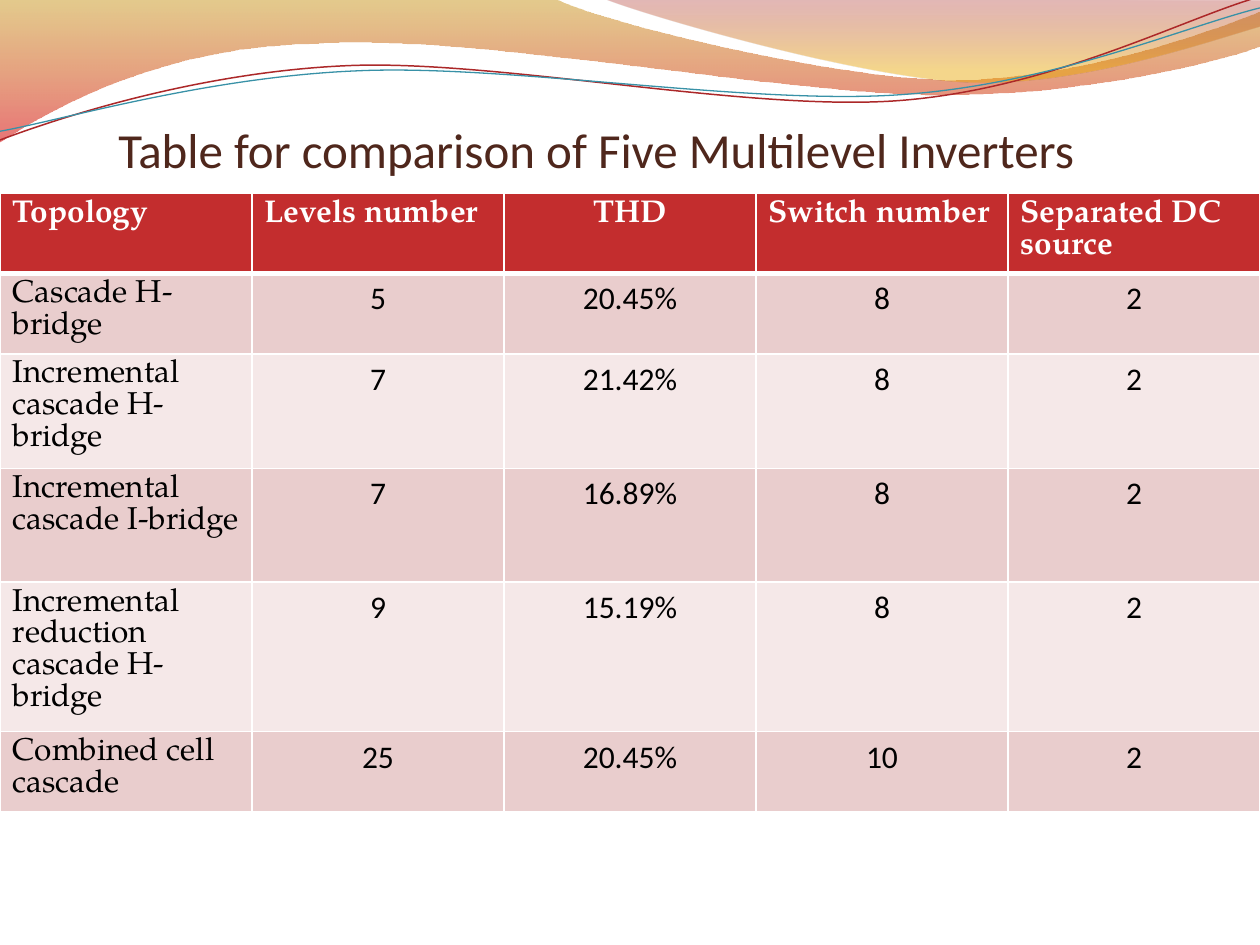
from lxml import etree
from pptx import Presentation
from pptx.dml.color import RGBColor
from pptx.enum import text
from pptx.oxml import ns
from pptx.util import Pt

SERIF, SANS = "TeX Gyre Pagella", "Calibri"


def color(value):
    return RGBColor.from_string(value)


def write(frame, words, font=SANS, size=18, ink="000000", bold=False,
          centered=False, leading=None):
    paragraph = frame.paragraphs[0]
    paragraph.alignment = text.PP_ALIGN.CENTER if centered else text.PP_ALIGN.LEFT
    paragraph.line_spacing = leading
    run = paragraph.add_run()
    run.text = words
    run.font.name, run.font.size, run.font.bold = font, Pt(size), bold
    run.font.color.rgb = color(ink)


deck = Presentation()
deck.slide_width, deck.slide_height = Pt(720), Pt(540)
slide = deck.slides.add_slide(deck.slide_layouts[6])

# Header waves: two numbers make a straight step, six a Bezier curve (in points).
# Gradient stops are position, colour, opacity in percent.
waves = [
    dict(start=(0, 0), steps=[
        (317, -1), (342.5, 12, 478, 45.5, 546, 45.5), (614, 45.5, 690, 18.5, 720, 6.5),
        (721, 26), (708, 31.5, 626.5, 54.5, 537, 54), (447.5, 54, 275, 20, 185, 24.5),
        (93, 26, 33, 60, -1, 81.5)],
        stops=[(0, "C38B00", 45), (100, "D60305", 55)]),
    dict(start=(345, -1), steps=[
        (366.5, 8, 491, 44.5, 553.5, 47), (616.5, 49.5, 692, 23, 720, 15), (720, 0)],
        stops=[(0, "A11112", 30), (80, "E9A600", 45)]),
    dict(start=(0, 80), steps=[
        (34.5, 67, 114, 41, 199.5, 37.5), (284.5, 34, 427, 64, 513.5, 57.5),
        (600, 51, 675.5, 11, 718.5, -1.5)],
        line=("AC2829", 0.85)),
    dict(start=(0, 75), steps=[
        (34, 69, 118, 44, 204, 40.5), (290, 36.5, 430, 60.5, 516, 54),
        (602, 48, 677.5, 15, 720, 4.5)],
        line=("3891A7", 0.75)),
]
for wave in waves:
    builder = slide.shapes.build_freeform(*(Pt(v) for v in wave["start"]))
    for step in wave["steps"]:
        lengths = [Pt(v) for v in step]
        builder.add_line_segments(zip(lengths[::2], lengths[1::2]), close=False)
    if "stops" in wave:
        builder.add_line_segments([], close=True)
    ribbon = builder.convert_to_shape()
    ribbon.shadow.inherit = False

    # Each curve's three straight segments become one Bezier segment.
    segments = iter(list(ribbon.element.spPr.iter(ns.qn("a:lnTo"))))
    for step in wave["steps"]:
        first, *others = [next(segments) for _ in range(len(step) // 2)]
        if others:
            first.tag = ns.qn("a:cubicBezTo")
            for segment in others:
                first.append(segment[0])
                segment.getparent().remove(segment)

    if "line" in wave:
        ink, width = wave["line"]
        ribbon.fill.background()
        ribbon.line.color.rgb, ribbon.line.width = color(ink), Pt(width)
        continue
    ribbon.line.fill.background()
    ribbon.fill.gradient()
    ribbon.fill.gradient_angle = 270
    for stop, (position, ink, _) in zip(ribbon.fill.gradient_stops, wave["stops"]):
        stop.position, stop.color.rgb = position / 100, color(ink)
    shades = ribbon.element.spPr.iter(ns.qn("a:srgbClr"))
    for shade, (_, _, opacity) in zip(shades, wave["stops"]):
        etree.SubElement(shade, ns.qn("a:alpha"), val=str(opacity * 1000))

title = slide.shapes.add_textbox(Pt(36), Pt(55), Pt(648), Pt(46.8)).text_frame
title.word_wrap = True
title.vertical_anchor = text.MSO_ANCHOR.BOTTOM
title.margin_left, title.margin_right = Pt(31.6), 0
title.margin_top, title.margin_bottom = Pt(3.6), 0
write(title, "Table for comparison of Five Multilevel Inverters", size=28, ink="4F271C")

comparison = [
    ("Topology", "Levels number", "THD", "Switch number", "Separated DC source"),
    ("Cascade H-bridge", "5", "20.45%", "8", "2"),
    ("Incremental cascade H-bridge", "7", "21.42%", "8", "2"),
    ("Incremental cascade I-bridge", "7", "16.89%", "8", "2"),
    ("Incremental reduction cascade H-bridge", "9", "15.19%", "8", "2"),
    ("Combined cell cascade", "25", "20.45%", "10", "2"),
]
row_heights = [46, 46, 65.5, 65, 85.5, 46]
table = slide.shapes.add_table(len(comparison), len(comparison[0]), 0, Pt(110.2),
                               Pt(720), Pt(sum(row_heights))).table
for column in table.columns:
    column.width = Pt(144)
for r, (entries, height) in enumerate(zip(comparison, row_heights)):
    table.rows[r].height = Pt(height)
    header = r == 0
    for c, words in enumerate(entries):
        serif = header or c == 0
        cell = table.cell(r, c)
        cell.fill.solid()
        cell.fill.fore_color.rgb = color(
            "C32D2E" if header else "E9CDCD" if r % 2 else "F5E8E8")
        write(cell.text_frame, words, font=SERIF if serif else SANS,
              ink="FFFFFF" if header else "000000", bold=header,
              centered=words == "THD" if header else c > 0,
              leading=Pt(18.1) if serif else None)
        properties = cell._tc.get_or_add_tcPr()
        for i, side in enumerate(("lnL", "lnR", "lnT", "lnB")):
            under_header = (r, side) in ((0, "lnB"), (1, "lnT"))
            border = etree.Element(ns.qn("a:" + side), w=str(Pt(3 if under_header else 1)))
            paint = etree.SubElement(border, ns.qn("a:solidFill"))
            etree.SubElement(paint, ns.qn("a:srgbClr"), val="FFFFFF")
            properties.insert(i, border)

deck.save("out.pptx")
